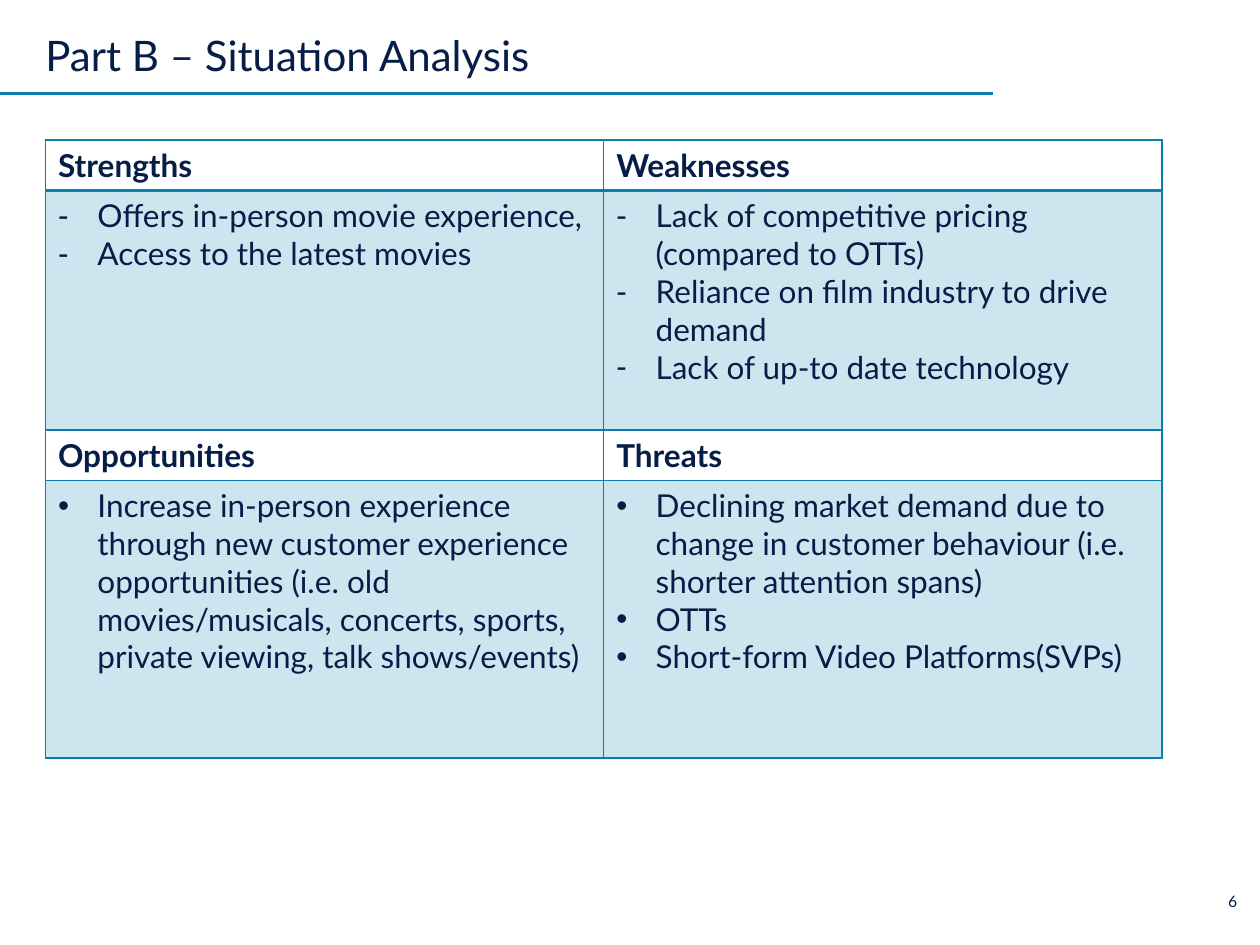
from lxml.etree import SubElement
from pptx import Presentation
from pptx.dml.color import RGBColor
from pptx.enum.shapes import MSO_CONNECTOR
from pptx.enum.text import MSO_ANCHOR, MSO_AUTO_SIZE, PP_ALIGN
from pptx.oxml.ns import qn
from pptx.util import Pt

NAVY = RGBColor(0x06, 0x1D, 0x48)
BLUE = RGBColor(0x09, 0x7E, 0xB1)

FONT = "Lato"
LEFT = Pt(26)
COLUMN_WIDTH = Pt(319)
ROW_HEIGHTS = [Pt(28.8), Pt(136.8), Pt(28.8), Pt(158.8)]
BULLET_INDENT = Pt(22.5)
TINT_PERCENT = 20
NO_MARGINS = {
    "margin_left": 0,
    "margin_top": 0,
    "margin_right": 0,
    "margin_bottom": 0,
    "auto_size": MSO_AUTO_SIZE.NONE,
    "word_wrap": True,
}

SWOT = [
    (
        "-",
        ("Strengths", ["Offers in-person movie experience, ", "Access to the latest movies"]),
        (
            "Weaknesses",
            [
                "Lack of competitive pricing (compared to OTTs) ",
                "Reliance on film industry to drive demand",
                "Lack of up-to date technology",
            ],
        ),
    ),
    (
        "•",
        (
            "Opportunities ",
            [
                "Increase in-person experience through new customer "
                "experience opportunities (i.e. old movies/musicals, "
                "concerts, sports, private viewing, talk shows/events)"
            ],
        ),
        (
            "Threats",
            [
                "Declining market demand due to change in customer "
                "behaviour (i.e. shorter attention spans)",
                "OTTs ",
                "Short-form Video Platforms(SVPs)",
            ],
        ),
    ),
]


def apply_format(target, values):
    for name, value in values.items():
        setattr(target, name, value)


def write(paragraph, text, size, bold=False):
    run = paragraph.add_run()
    run.text = text
    apply_format(run.font, {"name": FONT, "size": Pt(size), "bold": bold})
    run.font.color.rgb = NAVY


def add_bullet(paragraph, mark):
    properties = paragraph._p.get_or_add_pPr()
    properties.set("marL", str(BULLET_INDENT))
    properties.set("indent", str(-BULLET_INDENT))
    SubElement(properties, qn("a:buFont"), typeface="Arial")
    SubElement(properties, qn("a:buChar"), char=mark)


def set_borders(cell, widths):
    properties = cell._tc.get_or_add_tcPr()
    for side in ("L", "R", "T", "B"):
        border = SubElement(properties, qn(f"a:ln{side}"), w=str(Pt(widths.get(side, 1))))
        fill = SubElement(border, qn("a:solidFill"))
        SubElement(fill, qn("a:srgbClr"), val=str(BLUE))


def tint(cell):
    cell.fill.solid()
    cell.fill.fore_color.rgb = BLUE
    color = cell._tc.tcPr.find(qn("a:solidFill")).find(qn("a:srgbClr"))
    SubElement(color, qn("a:alpha"), val=str(TINT_PERCENT * 1000))


def fill_heading(cell, heading, widths):
    set_borders(cell, widths)
    cell.fill.background()
    write(cell.text_frame.paragraphs[0], heading, 18, bold=True)


def fill_points(cell, points, mark, widths):
    set_borders(cell, widths)
    tint(cell)
    frame = cell.text_frame
    for index, point in enumerate(points):
        paragraph = frame.paragraphs[0] if index == 0 else frame.add_paragraph()
        add_bullet(paragraph, mark)
        write(paragraph, point, 18)


def add_swot_table(slide):
    table = slide.shapes.add_table(
        len(ROW_HEIGHTS), 2, LEFT, Pt(80), 2 * COLUMN_WIDTH, sum(ROW_HEIGHTS)
    ).table
    apply_format(table, {"first_row": False, "horz_banding": False})
    for column in table.columns:
        column.width = COLUMN_WIDTH
    for row, height in zip(table.rows, ROW_HEIGHTS):
        row.height = height
    for band, (mark, *quadrants) in enumerate(SWOT):
        divider = 2 if band == 0 else 1
        for column, (heading, points) in enumerate(quadrants):
            fill_heading(table.cell(2 * band, column), heading, {"B": divider})
            fill_points(table.cell(2 * band + 1, column), points, mark, {"T": divider})


def add_title(slide, text):
    title = slide.shapes.title
    apply_format(title, {"left": LEFT, "top": Pt(7.2), "width": Pt(514), "height": Pt(39)})
    frame = title.text_frame
    apply_format(frame, {**NO_MARGINS, "vertical_anchor": MSO_ANCHOR.BOTTOM})
    paragraph = frame.paragraphs[0]
    apply_format(paragraph, {"alignment": PP_ALIGN.LEFT, "line_spacing": 0.9})
    write(paragraph, text, 24)


def add_title_rule(slide):
    rule = slide.shapes.add_connector(
        MSO_CONNECTOR.STRAIGHT, 0, Pt(53.3), Pt(567.4), Pt(53.3)
    )
    rule.line.color.rgb = BLUE
    rule.line.width = Pt(1.5)
    SubElement(rule._element.spPr, qn("a:effectLst"))


def add_page_number(slide, number):
    frame = slide.shapes.add_textbox(Pt(684.7), Pt(509.8), Pt(22.3), Pt(10.8)).text_frame
    apply_format(frame, NO_MARGINS)
    paragraph = frame.paragraphs[0]
    paragraph.alignment = PP_ALIGN.RIGHT
    write(paragraph, number, 9)


def main():
    deck = Presentation()
    apply_format(deck, {"slide_width": Pt(720), "slide_height": Pt(540)})
    slide = deck.slides.add_slide(deck.slide_layouts[5])
    add_title_rule(slide)
    add_page_number(slide, "6")
    add_swot_table(slide)
    add_title(slide, "Part B – Situation Analysis")
    deck.save("out.pptx")


if __name__ == "__main__":
    main()
